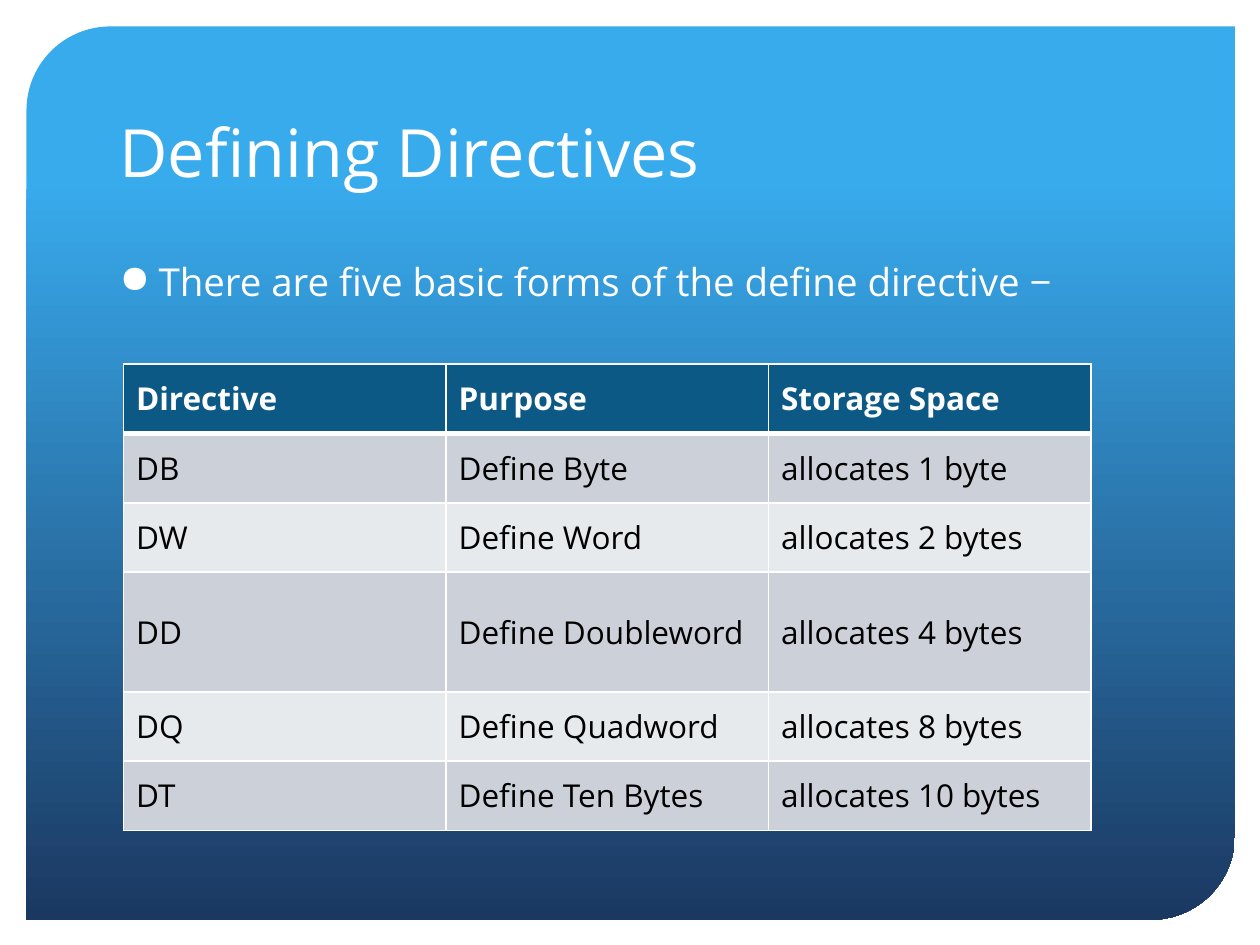
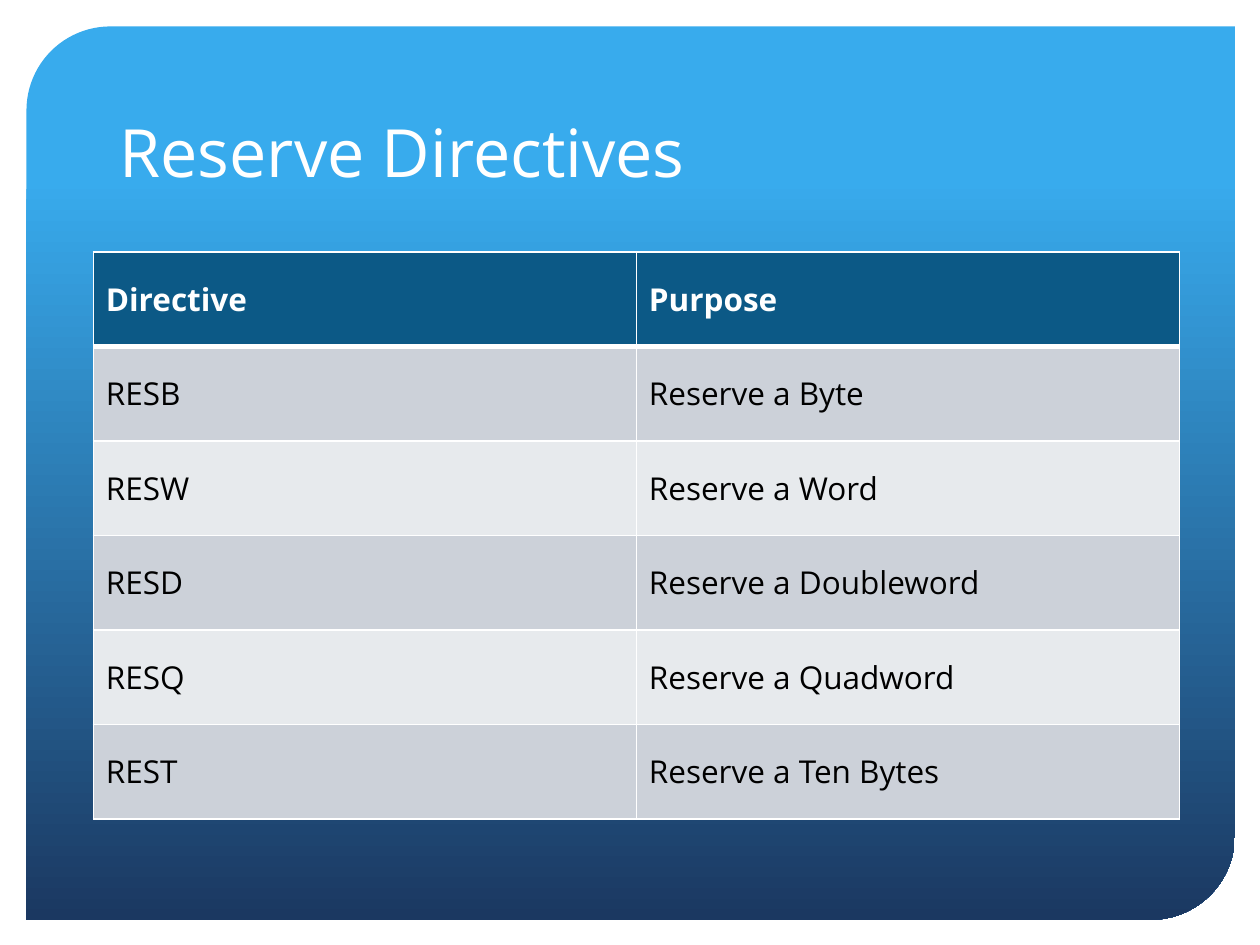
from dataclasses import dataclass

from lxml.etree import SubElement
from pptx import Presentation
from pptx.dml.color import RGBColor
from pptx.enum.shapes import MSO_SHAPE as SHAPE
from pptx.enum.text import MSO_ANCHOR as ANCHOR
from pptx.oxml.ns import qn
from pptx.util import Inches, Pt

SLIDES = [
    {
        "title": "Defining Directives",
        "bullet": "There are five basic forms of the define directive −",
        "origin": (0.98, 2.89),
        "col_width": 2.56,
        "row_heights": [0.55, 0.55, 0.55, 0.95, 0.55, 0.55],
        "rows": [
            ("Directive", "Purpose", "Storage Space"),
            ("DB", "Define Byte", "allocates 1 byte"),
            ("DW", "Define Word", "allocates 2 bytes"),
            ("DD", "Define Doubleword", "allocates 4 bytes"),
            ("DQ", "Define Quadword", "allocates 8 bytes"),
            ("DT", "Define Ten Bytes", "allocates 10 bytes"),
        ],
    },
    {
        "title": "Reserve Directives",
        "origin": (0.74, 2),
        "col_width": 4.31,
        "row_heights": [0.75] * 6,
        "rows": [
            ("Directive", "Purpose"),
            ("RESB", "Reserve a Byte"),
            ("RESW", "Reserve a Word"),
            ("RESD", "Reserve a Doubleword"),
            ("RESQ", "Reserve a Quadword"),
            ("REST", "Reserve a Ten Bytes"),
        ],
    },
]


@dataclass(frozen=True)
class Theme:
    font: str = "Open Sans"
    light: str = "FFFFFF"
    dark: str = "000000"
    header: str = "0C5986"
    bands: tuple = ("CCD1D9", "E7EAED")
    gradient: tuple = ((0.17, "38ABED"), (1, "1B3861"))
    title_size: int = 38
    body_size: int = 22
    cell_size: int = 18
    thin: int = 1
    thick: int = 3


THEME = Theme()
PANEL_BOX = (0.21, 0.21, 9.59, 7.09)
TITLE_BOX = (0.85, 0.42, 8.29, 1.14)
BODY_BOX = (0.85, 2, 8.29, 4.6)
BULLET_INDENT = 0.31


def inches(values):
    return [Inches(v) for v in values]


def write(tf, text, size, color, bold=False):
    p = tf.paragraphs[0]
    r = p.add_run()
    r.text = text
    formats = {"name": THEME.font, "size": Pt(size), "bold": bold}
    for name, value in formats.items():
        setattr(r.font, name, value)
    r.font.color.rgb = RGBColor.from_string(color)
    return p


def add_panel(s):
    sp = s.shapes.add_shape(SHAPE.ROUND_2_DIAG_RECTANGLE, *inches(PANEL_BOX))
    sp.shadow.inherit = False
    sp.adjustments[0], sp.adjustments[1] = 0.094, 0
    sp.line.fill.background()
    sp.fill.gradient()
    sp.fill.gradient_angle = 270
    for stop, (position, color) in zip(sp.fill.gradient_stops, THEME.gradient):
        stop.position = position
        stop.color.rgb = RGBColor.from_string(color)


def add_text(s, box, text, size, anchor):
    tf = s.shapes.add_textbox(*inches(box)).text_frame
    tf.word_wrap = True
    tf.vertical_anchor = anchor
    return write(tf, text, size, THEME.light)


def add_bullet(s, text):
    p = add_text(s, BODY_BOX, text, THEME.body_size, ANCHOR.TOP)
    p.space_before = Pt(20)
    pPr = p._p.get_or_add_pPr()
    pPr.set("marL", str(Inches(BULLET_INDENT)))
    pPr.set("indent", str(-Inches(BULLET_INDENT)))
    SubElement(pPr, qn("a:buChar"), char="●")


def set_borders(cell, row):
    """Rule every side thinly, with a thick rule under the header row."""
    tcPr = cell._tc.get_or_add_tcPr()
    widths = {side: THEME.thin for side in "LRTB"}
    if row < 2:
        widths["B" if row == 0 else "T"] = THEME.thick
    for side, width in widths.items():
        ln = SubElement(tcPr, qn(f"a:ln{side}"), w=str(Pt(width)))
        fill = SubElement(ln, qn("a:solidFill"))
        SubElement(fill, qn("a:srgbClr"), val=THEME.light)


def add_directive_table(s, content):
    rows, heights = content["rows"], content["row_heights"]
    col_count, col_width = len(rows[0]), content["col_width"]
    box = (*content["origin"], col_count * col_width, sum(heights))
    table = s.shapes.add_table(len(rows), col_count, *inches(box)).table
    for column in table.columns:
        column.width = Inches(col_width)
    for i, (texts, height) in enumerate(zip(rows, heights)):
        table.rows[i].height = Inches(height)
        is_header = i == 0
        fill = THEME.header if is_header else THEME.bands[(i - 1) % 2]
        color = THEME.light if is_header else THEME.dark
        for j, text in enumerate(texts):
            cell = table.cell(i, j)
            set_borders(cell, i)
            cell.fill.solid()
            cell.fill.fore_color.rgb = RGBColor.from_string(fill)
            cell.vertical_anchor = ANCHOR.MIDDLE
            write(cell.text_frame, text, THEME.cell_size, color, is_header)


def main():
    prs = Presentation()
    prs.slide_width, prs.slide_height = Inches(10), Inches(7.5)
    for content in SLIDES:
        s = prs.slides.add_slide(prs.slide_layouts[6])
        add_panel(s)
        add_text(s, TITLE_BOX, content["title"], THEME.title_size, ANCHOR.BOTTOM)
        if "bullet" in content:
            add_bullet(s, content["bullet"])
        add_directive_table(s, content)
    prs.save("out.pptx")


if __name__ == "__main__":
    main()
